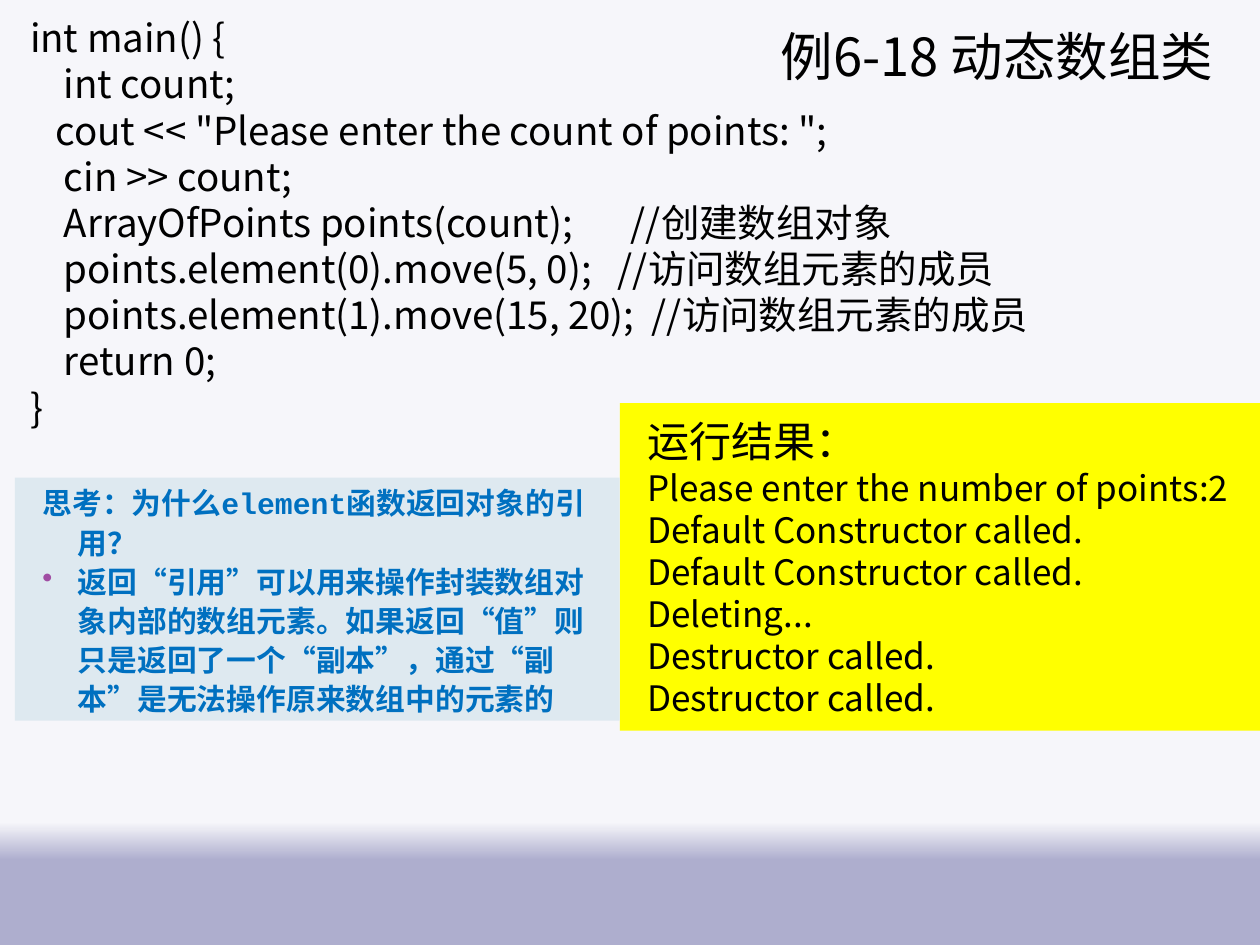
"""Build the dynamic array class example slide."""
from copy import deepcopy

from pptx import Presentation
from pptx.dml.color import RGBColor as RGB
from pptx.enum.shapes import MSO_SHAPE as SHAPE
from pptx.enum.text import MSO_ANCHOR as ANCHOR, PP_ALIGN as ALIGN
from pptx.oxml.ns import qn
from pptx.util import Pt

C = {"text": "000000", "result": "FFFF00", "think": "DEE9F0", "blue": "0070C0",
     "bullet": "A04DA3", "pale": "F6F6FA", "lilac": "AEAECE"}
CJK, MONO = "Noto Sans CJK SC", "Courier New"


def add_box(x, y, w, h, fill=None, anchor=ANCHOR.MIDDLE):
    sp = s.shapes.add_shape(SHAPE.RECTANGLE, Pt(x), Pt(y), Pt(w), Pt(h)) if fill else \
        s.shapes.add_textbox(Pt(x), Pt(y), Pt(w), Pt(h))
    if fill:
        sp.shadow.inherit = False
        sp.fill.solid()
        sp.fill.fore_color.rgb = RGB.from_string(C[fill])
        sp.line.fill.background()
    tf = sp.text_frame
    tf.word_wrap = True
    tf.vertical_anchor = anchor
    return tf


def add_line(tf, text, size, pitch=None, margin=0, indent=0, color="text", font=CJK, bold=False):
    p = tf.paragraphs[0] if not tf.text else tf.add_paragraph()
    r = p.add_run()
    r.text = text
    p.alignment = ALIGN.LEFT
    if pitch:
        p.line_spacing = Pt(pitch)
    p.font.size, p.font.bold, p.font.name = Pt(size), bold, font
    p.font.color.rgb = RGB.from_string(C[color])
    pPr = p._p.get_or_add_pPr()
    pPr.set("marL", str(Pt(margin)))
    pPr.set("indent", str(Pt(indent)))
    rPr = r._r.get_or_add_rPr()
    for el in pPr.find(qn("a:defRPr")):
        rPr.append(deepcopy(el))
    rPr.set("sz", str(size * 100))
    rPr.set("b", str(int(bold)))
    ea = rPr.makeelement(qn("a:ea"), {"typeface": CJK})
    rPr.find(qn("a:latin")).addnext(ea)
    return pPr


prs = Presentation()
prs.slide_width, prs.slide_height = Pt(720), Pt(540)
s = prs.slides.add_slide(prs.slide_layouts[6])

bg = s.background.fill
bg.gradient()
bg.gradient_angle = 270
stops = s._element.find(".//" + qn("a:gsLst"))
stops.append(deepcopy(stops[-1]))
for stop, (pos, name) in zip(bg.gradient_stops, [(0.87, "pale"), (0.91, "lilac"), (1, "lilac")]):
    stop.position = pos
    stop.color.rgb = RGB.from_string(C[name])

add_line(add_box(439.2, -2.2, 283.7, 67.7), "例6-18 动态数组类", 30)

code = [
    "int main() {",
    "\tint count;",
    'cout << "Please enter the count of points: ";',
    "\tcin >> count;",
    "\tArrayOfPoints points(count);\t//创建数组对象",
    "\tpoints.element(0).move(5, 0);   //访问数组元素的成员",
    "\tpoints.element(1).move(15, 20);  //访问数组元素的成员",
    "\treturn 0;",
    "}",
]
tf = add_box(1.4, 4.6, 811.4, 408.2, anchor=ANCHOR.TOP)
for text in code:
    indent = -4.8 if text.startswith("cout") else -19.4
    add_line(tf, text, 22, 26.4, 28.1, indent)

output = ["Please enter the number of points:2"] + ["Default Constructor called."] * 2 \
    + ["Deleting..."] + ["Destructor called."] * 2
tf = add_box(354.2, 230.4, 365.8, 187.2, "result")
add_line(tf, "运行结果：", 24, 28.8, 28.8, -20.2)
for text in output:
    add_line(tf, text, 20, 24, 28.8, -20.2)

tf = add_box(8.6, 272.9, 345.6, 139, "think")
notes = [
    "思考：为什么element函数返回对象的引用？",
    "返回“引用”可以用来操作封装数组对象内部的数组元素。如果返回“值”则只是返回了一个“副本”，通过“副本”是无法操作原来数组中的元素的",
]
for text in notes:
    pPr = add_line(tf, text, 17, 22.4, 28.8, -20.2, "blue", MONO, True)
clr = pPr.makeelement(qn("a:buClr"), {})
clr.append(clr.makeelement(qn("a:srgbClr"), {"val": C["bullet"]}))
pPr.find(qn("a:defRPr")).addprevious(clr)
clr.addnext(pPr.makeelement(qn("a:buChar"), {"char": "•"}))

prs.save("out.pptx")
